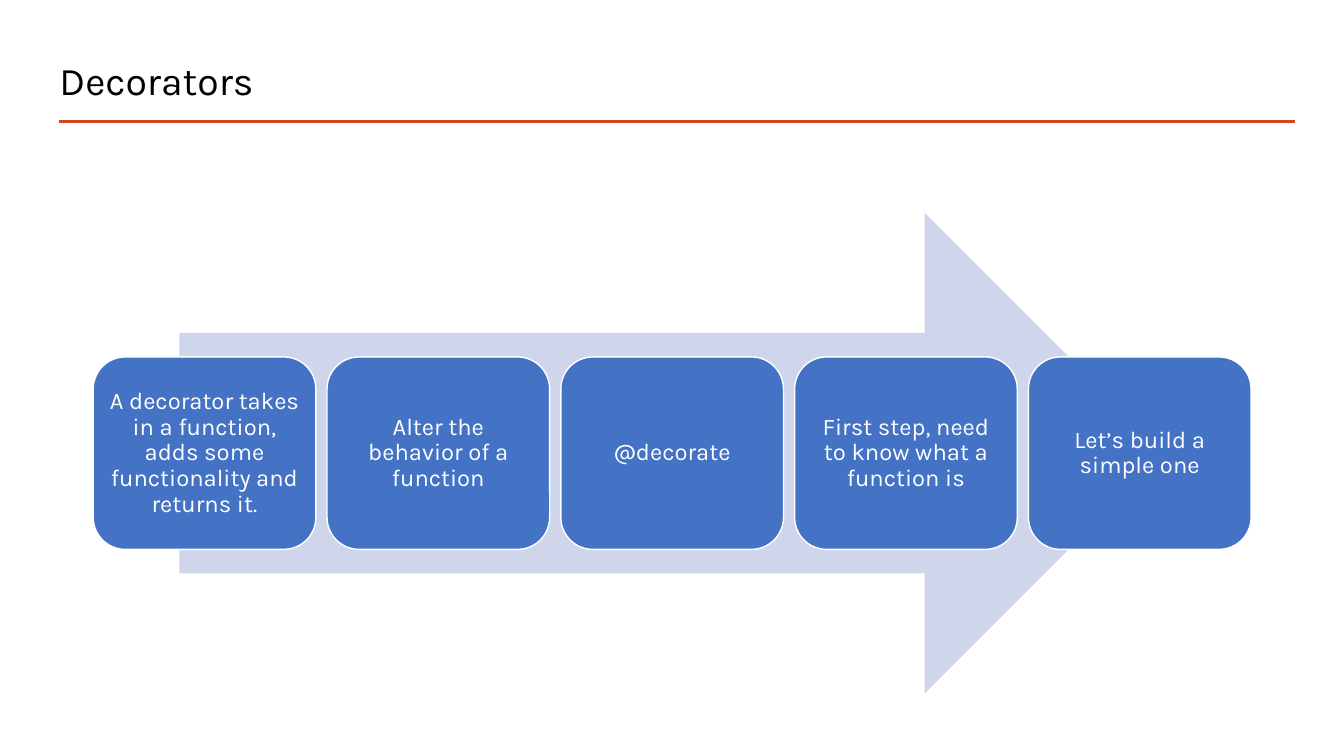
from lxml import etree
from pptx import Presentation
from pptx.dml.color import RGBColor
from pptx.enum.shapes import MSO_CONNECTOR, MSO_SHAPE
from pptx.enum.text import MSO_ANCHOR, PP_ALIGN
from pptx.oxml.ns import qn
from pptx.util import Cm, Pt

BLACK = RGBColor(0x00, 0x00, 0x00)
WHITE = RGBColor(0xFF, 0xFF, 0xFF)
RED = RGBColor(0xD2, 0x47, 0x26)
BLUE = RGBColor(0x44, 0x72, 0xC4)
PALE_BLUE = RGBColor(0xCF, 0xD5, 0xEA)
FONT = "Karla"

STEPS = [
    "A decorator takes in a function, adds some functionality and returns it.",
    "Alter the behavior of a function",
    "@decorate",
    "First step, need to know what a function is",
    "Let’s build a simple one",
]


def write_text(shape, text, size, color, align):
    """Fill the shape with one vertically centred paragraph."""
    frame = shape.text_frame
    frame.word_wrap = True
    frame.vertical_anchor = MSO_ANCHOR.MIDDLE
    paragraph = frame.paragraphs[0]
    paragraph.text = text
    paragraph.alignment = align
    paragraph.line_spacing = 0.9
    paragraph.font.name = FONT
    paragraph.font.size = Pt(size)
    paragraph.font.color.rgb = color


def add_header(slide, left, top, width, height):
    """Place the title above a rule along the bottom of the box."""
    title = slide.shapes.add_textbox(
        left - Cm(0.23), top, Cm(19.43), height - Cm(0.1))
    write_text(title, "Decorators", 28, BLACK, PP_ALIGN.LEFT)

    rule = slide.shapes.add_connector(
        MSO_CONNECTOR.STRAIGHT, left, top + height, left + width, top + height)
    rule.line.color.rgb = RED
    rule.line.width = Pt(2)
    etree.SubElement(rule.element.spPr, qn("a:effectLst"))


def add_step(slide, text, left, top, width, height):
    step = slide.shapes.add_shape(
        MSO_SHAPE.ROUNDED_RECTANGLE, left, top, width, height)
    step.shadow.inherit = False
    step.fill.solid()
    step.fill.fore_color.rgb = BLUE
    step.line.color.rgb = WHITE
    step.line.width = Pt(1)
    write_text(step, text, 17, WHITE, PP_ALIGN.CENTER)
    frame = step.text_frame
    frame.margin_left = frame.margin_right = Cm(0.18)
    frame.margin_top = frame.margin_bottom = Cm(0.18)


def add_process(slide, left, top, width, height):
    """Place a row of equal steps over a wide arrow."""
    arrow_width = Cm(24.84)
    arrow = slide.shapes.add_shape(
        MSO_SHAPE.RIGHT_ARROW,
        left + (width - arrow_width) // 2, top, arrow_width, height)
    arrow.shadow.inherit = False
    arrow.fill.solid()
    arrow.fill.fore_color.rgb = PALE_BLUE
    arrow.line.fill.background()

    gap = Cm(0.28)
    step_width = (width - gap * (len(STEPS) - 1)) // len(STEPS)
    step_height = Cm(4.85)
    step_top = top + (height - step_height) // 2
    for index, text in enumerate(STEPS):
        add_step(slide, text, left + index * (step_width + gap), step_top,
                 step_width, step_height)


def main():
    presentation = Presentation()
    presentation.slide_width = Cm(33.87)
    presentation.slide_height = Cm(19.05)
    slide = presentation.slides.add_slide(presentation.slide_layouts[6])
    add_header(slide, Cm(1.48), Cm(1.19), Cm(31.15), Cm(1.88))
    add_process(slide, Cm(2.35), Cm(5.36), Cm(29.18), Cm(12.12))
    presentation.save("out.pptx")


if __name__ == "__main__":
    main()
